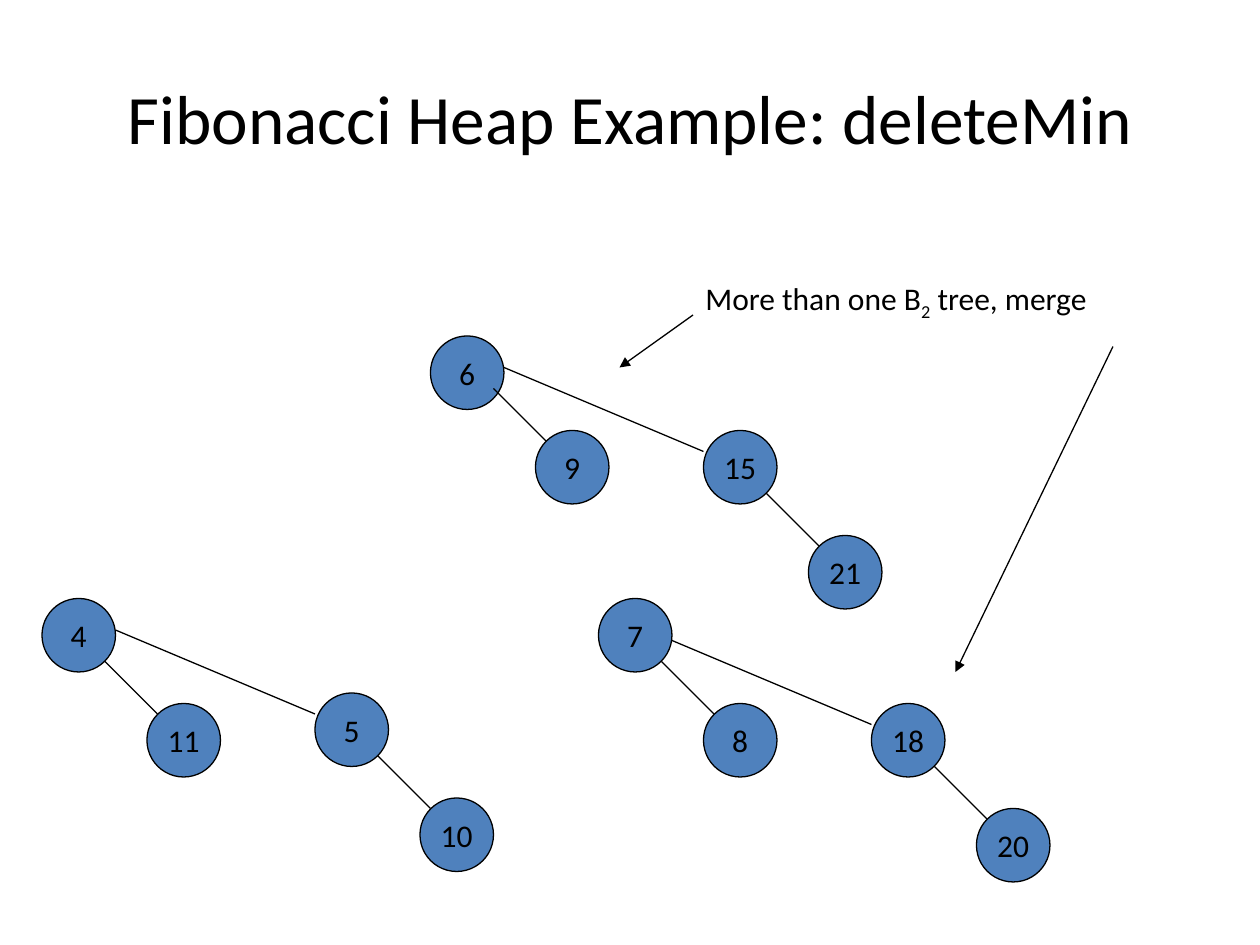
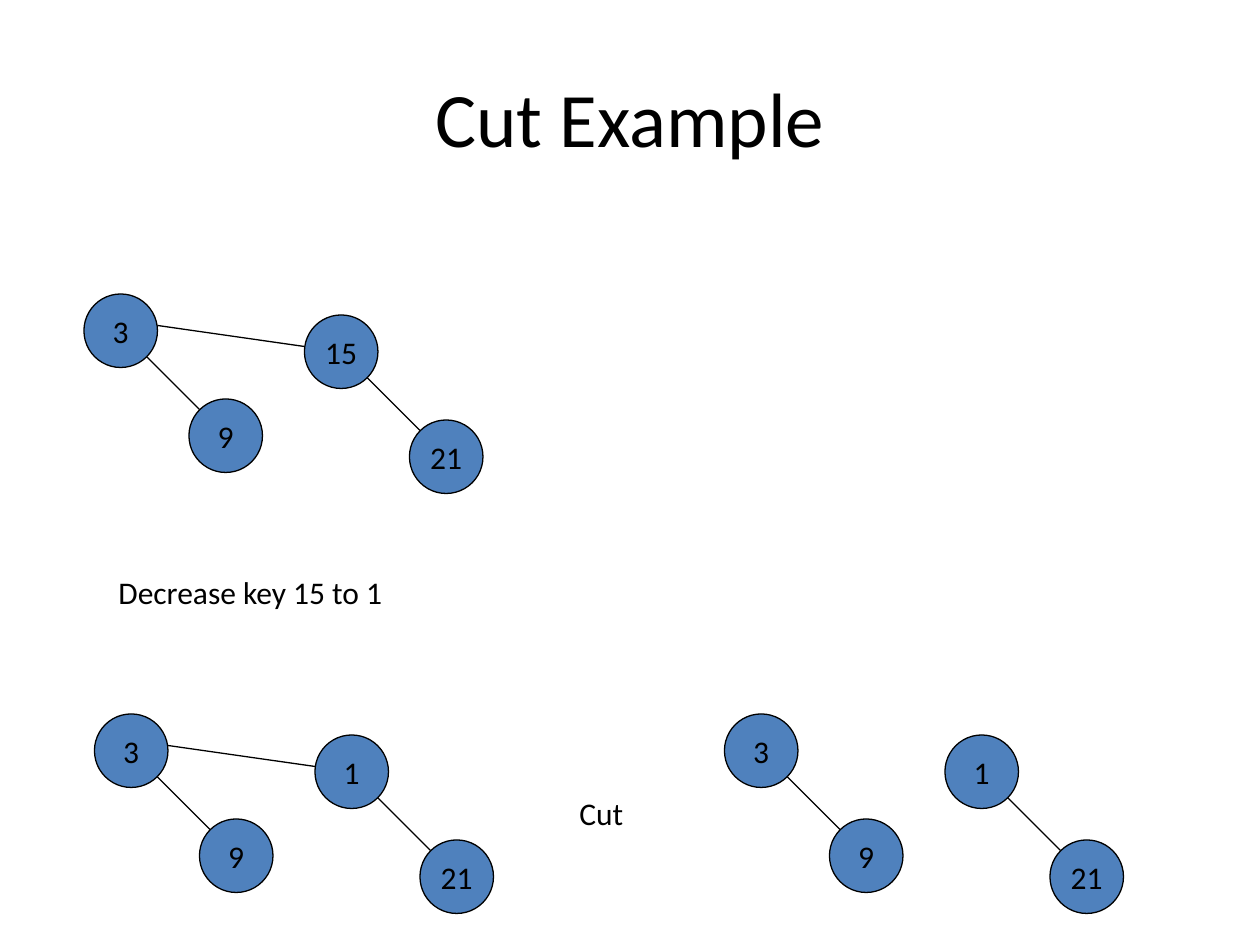
from lxml import etree
from pptx import Presentation
from pptx.dml.color import RGBColor
from pptx.enum.shapes import MSO_CONNECTOR, MSO_SHAPE
from pptx.enum.text import MSO_ANCHOR, MSO_AUTO_SIZE, PP_ALIGN
from pptx.oxml.ns import qn
from pptx.util import Cm, Pt

OVAL = MSO_SHAPE.OVAL
STRAIGHT = MSO_CONNECTOR.STRAIGHT
MIDDLE = MSO_ANCHOR.MIDDLE
GROW = MSO_AUTO_SIZE.SHAPE_TO_FIT_TEXT
LEFT, CENTER = PP_ALIGN.LEFT, PP_ALIGN.CENTER

BLACK, WHITE, BLUE = "000000", "FFFFFF", "4F81BD"
FONT = "Calibri"
LINE_WIDTH = Pt(0.75)
GRID = 2.54 / 12  # drawing grid in cm; nodes and edges sit on whole steps
NODE = 7          # node diameter in grid steps


def write_text(frame, text, size=18, color=BLACK, align=LEFT, wrap=False):
    """Fill a frame; a piece between two underscores becomes a subscript."""
    frame.word_wrap = wrap
    paragraph = frame.paragraphs[0]
    paragraph.alignment = align
    for i, piece in enumerate(text.split("_")):
        run = paragraph.add_run()
        run.text = piece
        run.font.name = FONT
        run.font.size = Pt(size)
        run.font.color.rgb = RGBColor.from_string(color)
        if i % 2:
            run.font._element.set("baseline", "-25000")


def draw_line(slide, x1, y1, x2, y2, arrow=False):
    line = slide.shapes.add_connector(
        STRAIGHT, *[Cm(step * GRID) for step in (x1, y1, x2, y2)])
    line.line.color.rgb = RGBColor.from_string(BLACK)
    line.line.width = LINE_WIDTH
    if arrow:
        etree.SubElement(line.line._get_or_add_ln(), qn("a:tailEnd"), type="triangle")
    etree.SubElement(line._element.spPr, qn("a:effectLst"))


# Content, in grid steps.
# branch: parent key, child key, parent x, parent y, drop from parent to child
# sibling edge: start x, start y, end x, end y
# caption: text, left, top, width
slides = [
    {
        "title": "Fibonacci Heap Example: deleteMin",
        "title_size": 39.6,
        "branches": [
            ("4", "11", 4, 57, 10), ("5", "10", 30, 66, 10),
            ("6", "9", 41, 32, 9), ("15", "21", 67, 41, 10),
            ("7", "8", 57, 57, 10), ("18", "20", 83, 67, 10),
        ],
        "sibling_edges": [(11, 60, 30, 68), (48, 35, 67, 43), (64, 61, 83, 69)],
        "captions": [("More than one B_2_ tree, merge", 66, 26, 49.7)],
        "merge_arrows": [(66, 30, 59, 35), (106, 33, 91, 64)],
    },
    {
        "title": "Cut Example",
        "title_size": 44,
        "branches": [
            ("3", "9", 8, 28, 10), ("15", "21", 29, 30, 10),
            ("3", "9", 9, 68, 10), ("1", "21", 30, 70, 10),
            ("3", "9", 69, 68, 10), ("1", "21", 90, 70, 10),
        ],
        "sibling_edges": [(15, 31, 29, 33), (16, 71, 30, 73)],
        "captions": [("Decrease key 15 to 1", 10.1, 54, 36), ("Cut", 54, 75, 8.2)],
        "merge_arrows": [],
    },
]

prs = Presentation()
prs.slide_width, prs.slide_height = Cm(25.4), Cm(19.05)
title_only = prs.slide_layouts[5]

for content in slides:
    slide = prs.slides.add_slide(title_only)
    slide.background.fill.solid()
    slide.background.fill.fore_color.rgb = RGBColor.from_string(WHITE)

    # Title
    title = slide.shapes.title
    title.left, title.top = Cm(1.27), Cm(0.76)
    title.width, title.height = Cm(22.86), Cm(3.18)
    title.text_frame.vertical_anchor = MIDDLE
    write_text(title.text_frame, content["title"], size=content["title_size"],
               align=CENTER, wrap=True)

    # Parent and child nodes with the edge between them
    for parent, child, x, y, drop in content["branches"]:
        child_x, child_y = x + 10, y + drop
        for key, left, top in ((parent, x, y), (child, child_x, child_y)):
            node = slide.shapes.add_shape(
                OVAL, Cm(left * GRID), Cm(top * GRID), Cm(NODE * GRID), Cm(NODE * GRID))
            node.shadow.inherit = False
            node.fill.solid()
            node.fill.fore_color.rgb = RGBColor.from_string(BLUE)
            node.line.color.rgb = RGBColor.from_string(BLACK)
            node.line.width = LINE_WIDTH
            node.text_frame.vertical_anchor = MIDDLE
            write_text(node.text_frame, key, align=CENTER)
        draw_line(slide, child_x - 4, child_y - 4, child_x + 1, child_y + 1)

    # Edges from each root to its second subtree
    for edge in content["sibling_edges"]:
        draw_line(slide, *edge)

    # Captions and their arrows
    for text, left, top, width in content["captions"]:
        caption = slide.shapes.add_textbox(
            Cm(left * GRID), Cm(top * GRID), Cm(width * GRID), Cm(1.27))
        caption.text_frame.auto_size = GROW
        write_text(caption.text_frame, text)
    for arrow in content["merge_arrows"]:
        draw_line(slide, *arrow, arrow=True)

prs.save("out.pptx")
